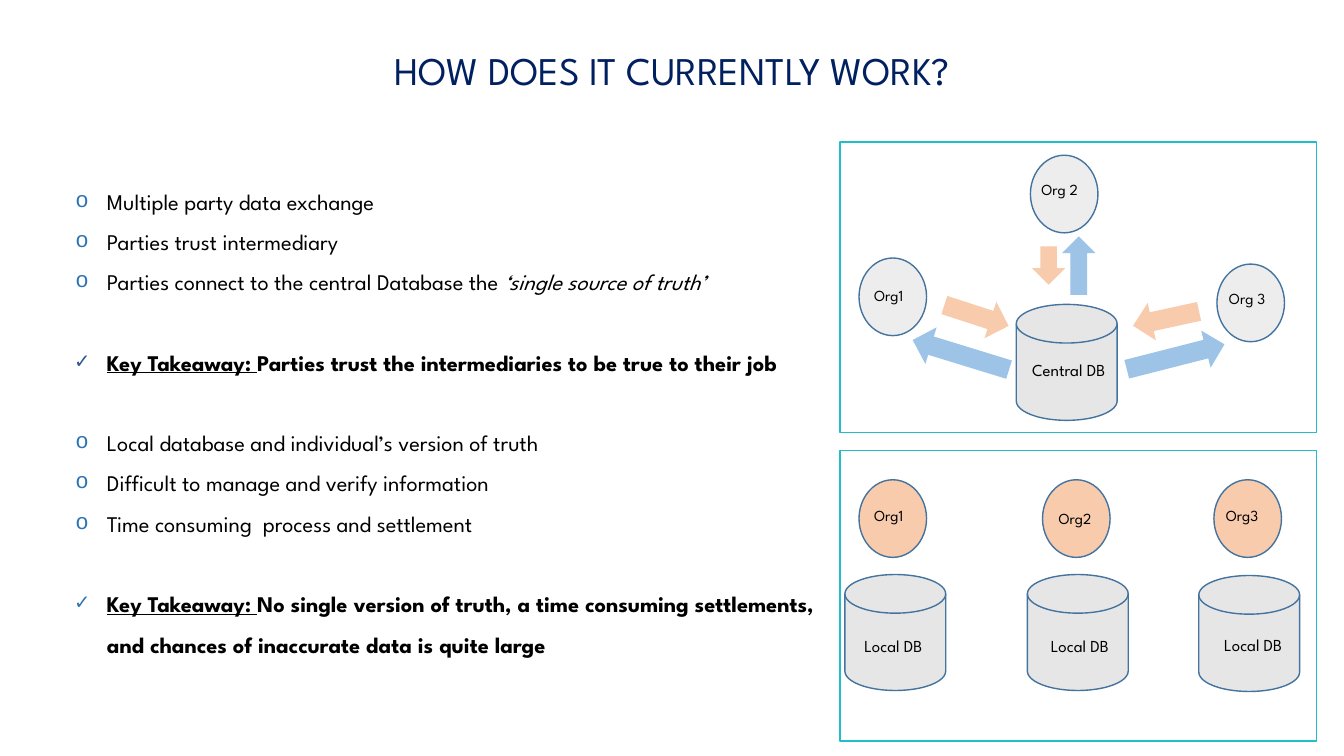
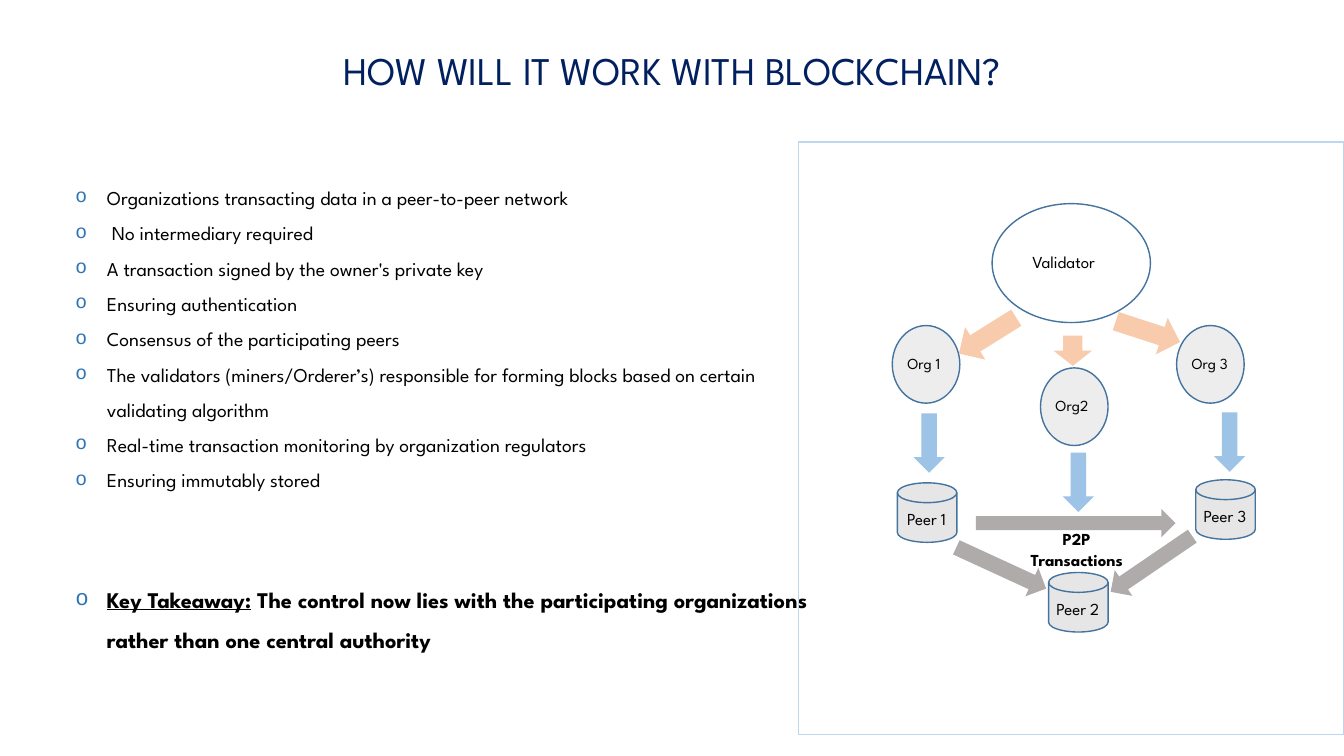
import pptx
import pptx.util
import pptx.dml.color
import pptx.enum.shapes
import pptx.enum.text
import pptx.oxml.ns
from dataclasses import dataclass
from lxml import etree

Inches = pptx.util.Inches
Pt = pptx.util.Pt
Shape = pptx.enum.shapes.MSO_SHAPE
Align = pptx.enum.text.PP_ALIGN


@dataclass(frozen=True)
class Theme:
    face: str = "League Spartan"
    navy: str = "002060"
    black: str = "000000"
    edge: str = "43739E"
    teal: str = "1FBECA"
    sky: str = "BDD7EE"
    mark: str = "2E75B6"
    tick: str = "2F5597"
    pale: str = "EDEDED"
    drum: str = "E7E6E6"
    peach: str = "F8CBAD"
    blue: str = "9DC3E6"
    gray: str = "AFABAB"
    title: int = 28
    large: int = 16
    body: int = 14
    text: int = 12
    small: int = 11


T = Theme()
KEY = "bu"
KINDS = {
    "org": (Shape.OVAL, 0.67, 0.77, T.small, Align.LEFT, 0.98),
    "main": (Shape.OVAL, 1.57, 1.18, T.text, Align.LEFT, 0.97),
    "db": (Shape.FLOWCHART_MAGNETIC_DISK, 1, 1.15, T.text, Align.CENTER, 1.24),
    "peer": (Shape.FLOWCHART_MAGNETIC_DISK, 0.59, 0.59, T.text, Align.CENTER, 1.24),
}

SLIDES = [
    {
        "title": "HOW DOES IT CURRENTLY WORK?",
        "width": 7.79,
        "size": T.large,
        "gap": 28.75,
        "body": [
            ("o", T.mark, 0, [("Multiple party data exchange", "")]),
            ("o", T.mark, 0, [("Parties trust intermediary", "")]),
            ("o", T.mark, 0, [("Parties connect to the central Database the ", ""),
                              ("‘single source of truth’", "i")]),
            ("✓", T.tick, 1, [("Key Takeaway: ", KEY),
                              ("Parties trust the intermediaries to be true to their job", "b")]),
            ("o", T.mark, 1, [("Local database and individual’s version of truth", "")]),
            ("o", T.mark, 0, [("Difficult to manage and verify information", "")]),
            ("o", T.mark, 0, [("Time consuming  process and settlement", "")]),
            ("✓", T.mark, 1, [("Key Takeaway: ", KEY),
                              ("No single version of truth, a time consuming settlements, "
                               "and chances of inaccurate data is quite large", "b")]),
        ],
        "frames": [(8.33, 1.41, 4.73, 2.88, T.teal), (8.33, 4.47, 4.73, 2.88, T.teal)],
        "nodes": [
            ("db", 10.08, 3.02, T.drum, "Central DB", 9.98, 3.52),
            ("org", 8.52, 2.56, T.pale, "Org1", 8.57, 2.79),
            ("org", 12.07, 2.62, T.pale, "Org 3", 12.09, 2.82),
            ("org", 10.22, 1.54, T.pale, "Org 2", 10.23, 1.74),
            ("db", 8.38, 5.7, T.drum, "Local DB", 8.24, 6.26),
            ("db", 10.19, 5.7, T.drum, "Local DB", 10.09, 6.26),
            ("db", 11.89, 5.71, T.drum, "Local DB", 11.81, 6.25),
            ("org", 8.52, 4.76, T.peach, "Org1", 8.57, 4.97),
            ("org", 10.34, 4.76, T.peach, "Org2", 10.4, 5),
            ("org", 12.04, 4.76, T.peach, "Org3", 12.06, 4.97),
        ],
        "arrows": [
            (10.21, 2.47, 0.38, 0.33, 90, T.peach),
            (9.35, 2.94, 0.67, 0.38, 18, T.peach),
            (11.23, 2.97, 0.67, 0.38, 167.7, T.peach),
            (10.41, 2.47, 0.58, 0.33, 270, T.blue),
            (9.03, 3.33, 1, 0.38, 197.1, T.blue),
            (11.16, 3.35, 1, 0.38, 345.7, T.blue),
        ],
        "notes": [],
    },
    {
        "title": "HOW WILL IT WORK WITH BLOCKCHAIN?",
        "width": 7.68,
        "size": T.body,
        "gap": 57.5,
        "body": [
            ("o", T.mark, 0, [("Organizations transacting data in a peer-to-peer network", "")]),
            ("o", T.mark, 0, [(" No intermediary required", "")]),
            ("o", T.mark, 0, [("A transaction signed by the owner's private key", "")]),
            ("o", T.mark, 0, [("Ensuring authentication", "")]),
            ("o", T.mark, 0, [("Consensus of the participating peers", "")]),
            ("o", T.mark, 0, [("The validators (miners/Orderer’s) responsible for forming "
                               "blocks based on certain validating algorithm", "")]),
            ("o", T.mark, 0, [("Real-time transaction monitoring by organization regulators", "")]),
            ("o", T.mark, 0, [("Ensuring immutably stored", "")]),
            ("o", T.mark, 1, [("Key Takeaway:", KEY),
                              (" The control now lies with the participating organizations "
                               "rather than one central authority", "b")]),
        ],
        "frames": [(7.92, 1.41, 5.41, 5.88, T.sky)],
        "nodes": [
            ("main", 9.84, 2.02, None, "Validator", 10.14, 2.45),
            ("org", 8.85, 3.23, T.pale, "Org 1", 8.9, 3.46),
            ("org", 10.32, 3.65, T.pale, "Org2", 10.37, 3.88),
            ("org", 11.67, 3.23, T.pale, "Org 3", 11.72, 3.46),
            ("peer", 8.9, 4.79, T.drum, "Peer 1", 8.57, 5),
            ("peer", 10.4, 5.68, T.drum, "Peer 2", 10.07, 5.89),
            ("peer", 11.86, 4.76, T.drum, "Peer 3", 11.53, 4.97),
        ],
        "arrows": [
            (11.05, 3.1, 0.67, 0.38, 18, T.peach),
            (9.46, 3.14, 0.67, 0.38, 148, T.peach),
            (10.49, 3.29, 0.3, 0.38, 90, T.peach),
            (8.92, 4.24, 0.59, 0.31, 90, T.blue),
            (10.4, 4.63, 0.59, 0.31, 90, T.blue),
            (11.9, 4.23, 0.59, 0.31, 90, T.blue),
            (9.44, 5.48, 0.98, 0.31, 24.7, T.gray),
            (10.93, 5.44, 0.98, 0.31, 145.7, T.gray),
            (9.68, 5.05, 1.98, 0.28, 0, T.gray),
        ],
        "notes": [("P2P Transactions", 10.06, 5.2, 1.24, 0.5)],
    },
]


def rgb(code):
    return pptx.dml.color.RGBColor.from_string(code)


def style(para, size, color=T.black, bold=None):
    font = para.font
    font.name, font.size, font.bold = T.face, Pt(size), bold
    font.color.rgb = rgb(color)


def box(slide, x, y, w, h):
    frame = slide.shapes.add_textbox(*map(Inches, (x, y, w, h))).text_frame
    frame.word_wrap = True
    return frame


def label(slide, text, x, y, w, h, size, align, color=T.black, bold=None):
    para = box(slide, x, y, w, h).paragraphs[0]
    para.text = text
    para.alignment = align
    style(para, size, color, bold)


def draw(slide, kind, x, y, w, h, fill=None, line=None, turn=0):
    shape = slide.shapes.add_shape(kind, *map(Inches, (x, y, w, h)))
    shape.shadow.inherit = False
    shape.rotation = turn
    if fill:
        shape.fill.solid()
        shape.fill.fore_color.rgb = rgb(fill)
    else:
        shape.fill.background()
    if line:
        shape.line.color.rgb = rgb(line)
        shape.line.width = Pt(1)
    else:
        shape.line.fill.background()


def bullet(para, mark, color):
    props = para._p.get_or_add_pPr()
    props.set("marL", str(Pt(22.5)))
    props.set("indent", str(-Pt(22.5)))
    qn = pptx.oxml.ns.qn
    tint = etree.SubElement(props, qn("a:buClr"))
    etree.SubElement(tint, qn("a:srgbClr"), val=color)
    if mark == "o":
        etree.SubElement(props, qn("a:buFont"), typeface="Courier New")
    etree.SubElement(props, qn("a:buChar"), char=mark)


def write(slide, page):
    frame = box(slide, 0.65, 1.68, page["width"], 5.36)
    for i, (mark, color, gap, runs) in enumerate(page["body"]):
        para = frame.paragraphs[0] if i == 0 else frame.add_paragraph()
        para.line_spacing = 1.5
        if gap:
            para.space_before = Pt(page["gap"])
        bullet(para, mark, color)
        style(para, T.large if runs[0][1] == KEY else page["size"])
        for text, flags in runs:
            run = para.add_run()
            run.text = text
            if "b" in flags:
                run.font.bold = True
            if "i" in flags:
                run.font.italic = True
            if "u" in flags:
                run.font.underline = True


def build(deck, page):
    slide = deck.slides.add_slide(deck.slide_layouts[6])
    write(slide, page)
    for x, y, w, h, line in page["frames"]:
        draw(slide, Shape.RECTANGLE, x, y, w, h, line=line)
    for kind, x, y, fill, text, left, top in page["nodes"]:
        form, w, h, size, align, wide = KINDS[kind]
        draw(slide, form, x, y, w, h, fill, T.edge)
        label(slide, text, left, top, wide, 0.3, size, align)
    for x, y, w, h, turn, fill in page["arrows"]:
        draw(slide, Shape.RIGHT_ARROW, x, y, w, h, fill, turn=turn)
    for text, x, y, w, h in page["notes"]:
        label(slide, text, x, y, w, h, T.text, Align.CENTER, bold=True)
    label(slide, page["title"], 0, 0.41, 13.33, 0.57, T.title, Align.CENTER, T.navy)


def main():
    deck = pptx.Presentation()
    deck.slide_width, deck.slide_height = Inches(13.33), Inches(7.5)
    for page in SLIDES:
        build(deck, page)
    deck.save("out.pptx")


if __name__ == "__main__":
    main()
